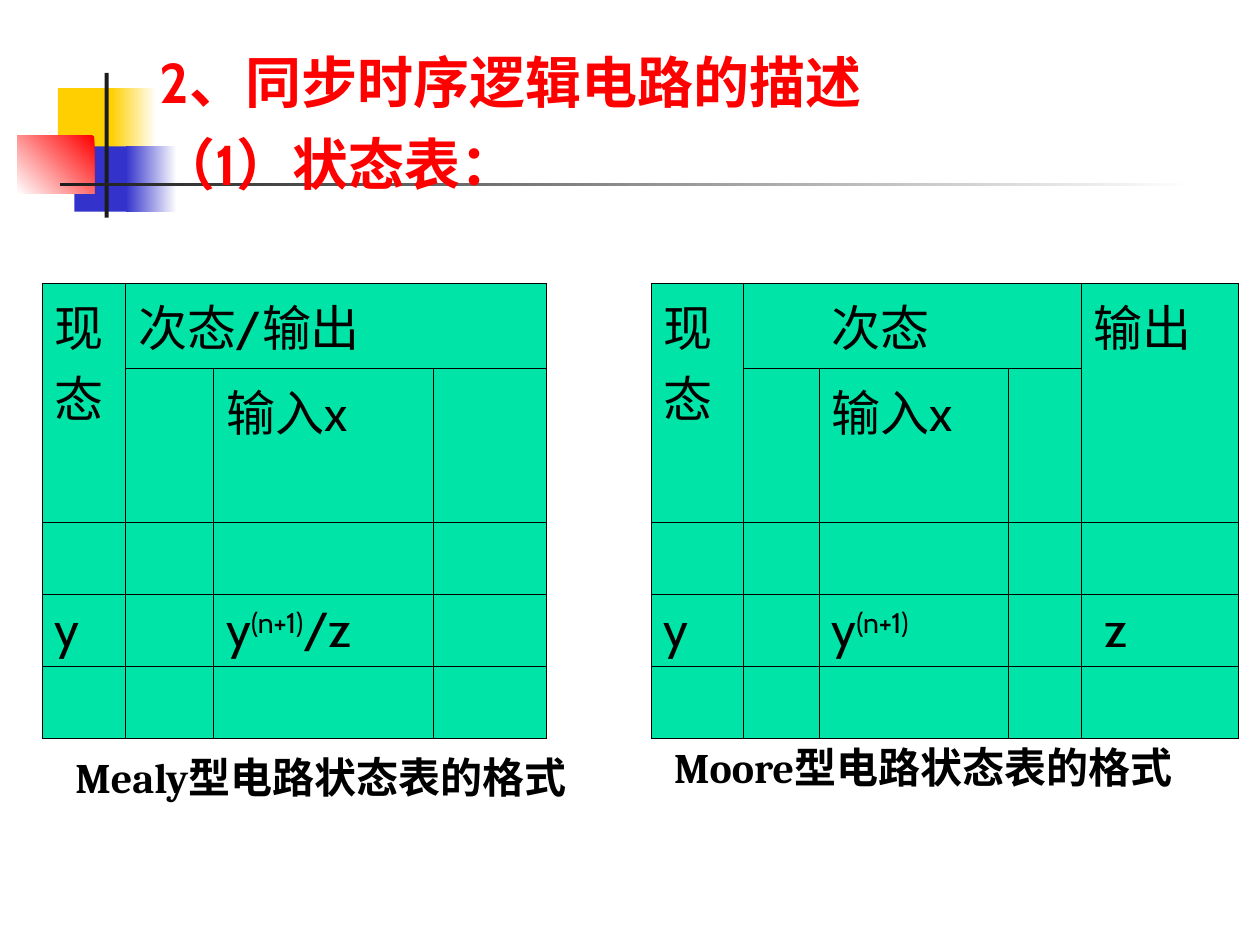
from dataclasses import dataclass

from lxml import etree
from pptx import Presentation
from pptx.dml.color import RGBColor
from pptx.enum.shapes import MSO_SHAPE
from pptx.enum.text import MSO_ANCHOR, MSO_AUTO_SIZE
from pptx.oxml.ns import qn
from pptx.util import Cm, Pt

RECT = MSO_SHAPE.RECTANGLE
TOP = MSO_ANCHOR.TOP
GROW, FIXED = MSO_AUTO_SIZE.SHAPE_TO_FIT_TEXT, MSO_AUTO_SIZE.NONE


@dataclass(frozen=True)
class Theme:
    white: str = "FFFFFF"
    black: str = "000000"
    dark: str = "1C1C1C"
    gold: str = "FFCF01"
    blue: str = "3333CC"
    red: str = "FF0000"
    green: str = "00E4A8"
    sans: str = "Cabin"
    serif: str = "Cambria"
    title: int = 32
    cell: int = 28
    label: int = 24
    border: float = 0.45


class Deck:
    def __init__(self, theme, slide):
        self.theme = theme
        self.slide = slide

    def block(self, spot, *colors, angle=180):
        """Draw a plain bar, shaded when two colours are given."""
        shape = self.slide.shapes.add_shape(RECT, *map(Cm, spot))
        shape.shadow.inherit = False
        shape.line.fill.background()
        if len(colors) == 1:
            shape.fill.solid()
            shape.fill.fore_color.rgb = RGBColor.from_string(colors[0])
            return
        shape.fill.gradient()
        shape.fill.gradient_angle = angle
        for stop, color in zip(shape.fill.gradient_stops, colors):
            stop.color.rgb = RGBColor.from_string(color)

    def add_runs(self, para, text, color, **look):
        """Fill a paragraph; text between carets is raised."""
        for i, part in enumerate(text.split("^")):
            if not part:
                continue
            run = para.add_run()
            run.text = part
            for key, value in look.items():
                setattr(run.font, key, value)
            run.font.color.rgb = RGBColor.from_string(color)
            if i % 2:
                run._r.get_or_add_rPr().set("baseline", "30000")

    def text(self, spot, lines, color, hang=0, fit=FIXED, **look):
        frame = self.slide.shapes.add_textbox(*map(Cm, spot)).text_frame
        form = {"word_wrap": True, "auto_size": fit, "vertical_anchor": TOP}
        for key, value in form.items():
            setattr(frame, key, value)
        for i, line in enumerate(lines):
            para = frame.add_paragraph() if i else frame.paragraphs[0]
            if i:
                para.space_before = Pt(8)
            if hang:
                props = para._p.get_or_add_pPr()
                props.set("marL", str(Cm(hang)))
                props.set("indent", str(-Cm(hang)))
            self.add_runs(para, line, color, **look)

    def paint(self, cell):
        """Give a cell its thin borders and fill."""
        props = cell._tc.get_or_add_tcPr()
        for side in ("a:lnL", "a:lnR", "a:lnT", "a:lnB"):
            line = etree.SubElement(props, qn(side), w=str(Pt(self.theme.border)))
            fill = etree.SubElement(line, qn("a:solidFill"))
            etree.SubElement(fill, qn("a:srgbClr"), val=self.theme.black)
        cell.fill.solid()
        cell.fill.fore_color.rgb = RGBColor.from_string(self.theme.green)

    def table(self, left, top, cols, rows, words, spans):
        """Words map (row, column) to (text, left indent)."""
        frame = self.slide.shapes.add_table(
            len(rows), len(cols), Cm(left), Cm(top), Cm(sum(cols)), Cm(sum(rows)))
        grid = frame.table
        grid.first_row = grid.horz_banding = False
        for col, width in zip(grid.columns, cols):
            col.width = Cm(width)
        for row, height in zip(grid.rows, rows):
            row.height = Cm(height)
        for cell in grid.iter_cells():
            self.paint(cell)
        for start, end in spans:
            grid.cell(*start).merge(grid.cell(*end))
        for place, (text, indent) in words.items():
            para = grid.cell(*place).text_frame.paragraphs[0]
            if indent:
                para._p.get_or_add_pPr().set("marL", str(Cm(indent)))
            self.add_runs(para, text, self.theme.black,
                          name=self.theme.sans, size=Pt(self.theme.cell))


def main():
    deck = Presentation()
    deck.slide_width, deck.slide_height = Cm(25.4), Cm(19.05)
    theme = Theme()
    page = Deck(theme, deck.slides.add_slide(deck.slide_layouts[6]))

    page.block((1.17, 1.78, 1.22, 1.32), theme.gold)
    page.block((2.24, 1.78, 0.91, 1.32), theme.white, theme.gold)
    page.block((1.5, 2.95, 1.17, 1.32), theme.blue)
    page.block((2.54, 2.95, 1.02, 1.32), theme.white, theme.blue)
    page.block((0.35, 2.74, 1.55, 1.17), theme.red, theme.white, angle=225)
    page.block((2.11, 1.47, 0.08, 2.92), theme.dark)
    page.block((1.22, 3.68, 22.86, 0.08), theme.white, theme.dark)

    page.text((2.97, 0.84, 21.39, 4.01),
              ["2、同步时序逻辑电路的描述", "（1）状态表："], theme.red, hang=0.97,
              name=theme.sans, size=Pt(theme.title), bold=True)

    top, rows = 5.72, [1.7, 3.1] + [1.45] * 3
    words = {(0, 0): ("现态", 0), (1, 2): ("输入x", 0), (3, 0): ("y", 0)}
    spans = [((0, 0), (1, 0)), ((0, 1), (0, 3))]
    mealy = {(0, 1): ("次态/输出", 0), (3, 2): ("y^(n+1)^/z", 0)}
    moore = {(0, 1): ("次态", 1.53), (0, 4): ("输出", 0),
             (3, 2): ("y^(n+1)^", 0), (3, 4): ("z", 0.23)}
    page.table(0.85, top, [1.68, 1.78, 4.43, 2.27], rows, words | mealy, spans)
    page.table(13.13, top, [1.85, 1.53, 3.81, 1.47, 3.18], rows, words | moore,
               spans + [((0, 4), (1, 4))])

    for kind, spot in (("Mealy", (1.27, 15.03, 11.13, 1.27)),
                       ("Moore", (13.34, 14.82, 11.43, 1.27))):
        page.text(spot, [f"{kind}型电路状态表的格式"], theme.black, fit=GROW,
                  name=theme.serif, size=Pt(theme.label), bold=True)

    deck.save("out.pptx")


if __name__ == "__main__":
    main()
